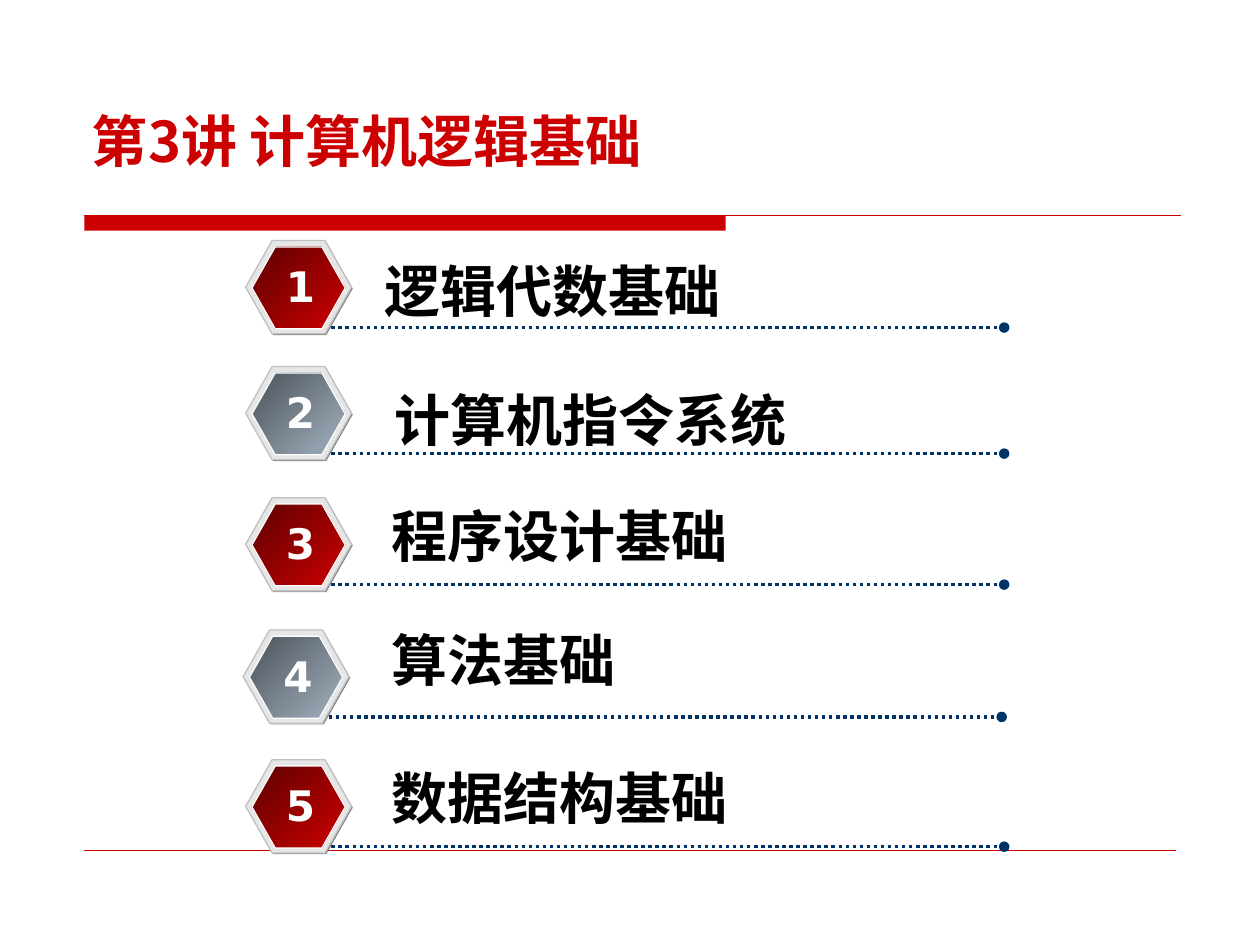
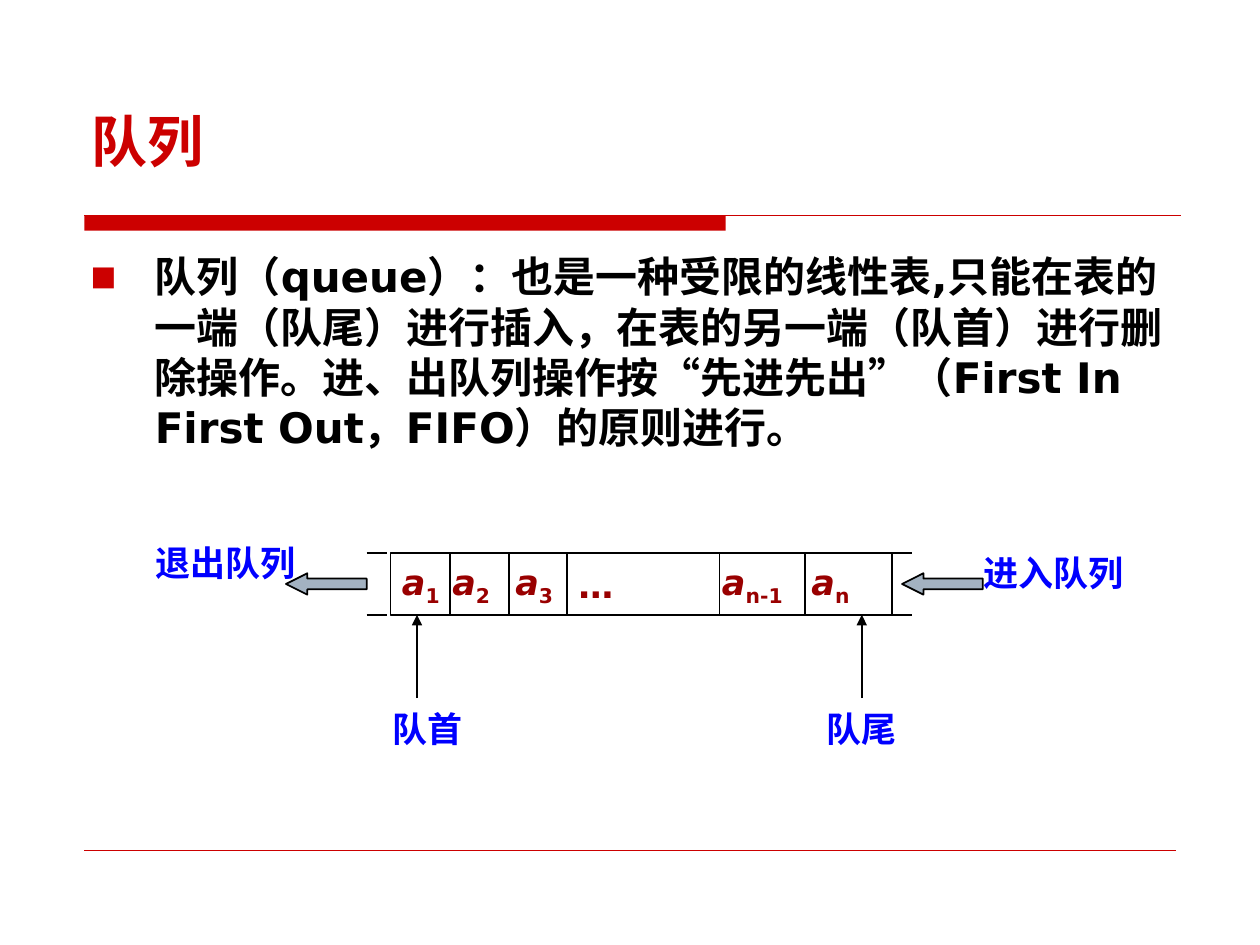
from dataclasses import dataclass
from typing import NamedTuple, Optional

from lxml import etree
from pptx import Presentation
from pptx import util as u
from pptx.dml.color import RGBColor
from pptx.enum import dml, shapes, text
from pptx.oxml import ns

Inches, Pt = u.Inches, u.Pt
SHAPE = shapes.MSO_SHAPE
LEFT, CENTER = text.PP_ALIGN.LEFT, text.PP_ALIGN.CENTER

RED, WHITE, BLACK = "CC0000", "FFFFFF", "000000"
NAVY, BLUE, MAROON, STEEL = "003366", "0000FF", "990000", "A3B2C1"
RED_BLEND, STEEL_BLEND = ("5E0000", RED), ("4B5259", STEEL)
CJK, SANS, SERIF = "Noto Sans CJK SC", "DejaVu Sans", "Times New Roman"
CJK_LEADING = 1.3


class Box(NamedTuple):
    left: float
    top: float
    width: float
    height: float

    def lengths(self) -> list:
        return [Inches(value) for value in self]


class Style(NamedTuple):
    size: float
    color: str
    font: str = SANS


@dataclass
class Topic:
    """One agenda row: its badge corner and its label."""
    label: str
    left: float
    top: float
    label_left: float
    label_top: float
    label_width: float = 4.96
    align: text.PP_ALIGN = LEFT


@dataclass
class Cell:
    """One queue cell: left edge, indent of its text, symbol and subscript."""
    left: float
    indent: float
    symbol: str
    index: str = ""


@dataclass
class Caption:
    label: str
    left: float
    top: float


TITLE = Style(32, RED, CJK)
TOPIC = Style(32, BLACK)
NUMBER = Style(24, WHITE)
BODY = Style(24, BLACK)
ELEMENT = Style(20, MAROON)
CAPTION = Style(20, BLUE, SERIF)

TOPICS = [
    Topic("逻辑代数基础", 1.95, 1.91, 2.95, 1.94, 5.01),
    Topic("计算机指令系统", 1.95, 2.91, 2.83, 2.97, 3.72, CENTER),
    Topic("程序设计基础", 1.95, 3.95, 3.01, 3.89),
    Topic("算法基础", 1.93, 5.0, 3.01, 4.87),
    Topic("数据结构基础", 1.95, 6.03, 3.01, 5.97),
]

DEFINITION = (
    "队列（queue）：也是一种受限的线性表,只能在表的一端（队尾）进行插入，"
    "在表的另一端（队首）进行删除操作。进、出队列操作按“先进先出”"
    "（First In First Out，FIFO）的原则进行。"
)
QUEUE = Box(3.1, 4.39, 3.98, 0.49)
QUEUE_RIGHT = QUEUE.left + QUEUE.width
QUEUE_BOTTOM = QUEUE.top + QUEUE.height
CELLS = [
    Cell(3.1, 0.09, "a", "1"),
    Cell(3.57, 0.02, "a", "2"),
    Cell(4.04, 0.05, "a", "3"),
    Cell(4.5, 0.09, "…"),
    Cell(5.71, 0.02, "a", "n-1"),
    Cell(6.39, 0.05, "a", "n"),
]
CAPTIONS = [
    Caption("进入队列", 7.24, 4.3),
    Caption("退出队列", 0.67, 4.22),
    Caption("队尾", 5.72, 5.54),
    Caption("队首", 2.27, 5.54),
]


def rgb(value: str) -> RGBColor:
    return RGBColor.from_string(value)


def add_run(paragraph, words: str, style: Style, italic: bool = False,
            subscript: bool = False) -> None:
    run = paragraph.add_run()
    run.text = words
    font = run.font
    font.size, font.name = Pt(style.size), style.font
    font.bold, font.italic = True, italic
    font.color.rgb = rgb(style.color)
    properties = run._r.get_or_add_rPr()
    etree.SubElement(properties, ns.qn("a:ea"), typeface=CJK)
    if subscript:
        properties.set("baseline", "-25000")


def add_text(slide, box: Box, words: str, style: Style, align=LEFT,
             leading: Optional[float] = None, wrap: bool = True):
    """Add a one-paragraph text box; leading is a multiple of the text size."""
    frame = slide.shapes.add_textbox(*box.lengths()).text_frame
    frame.word_wrap = wrap
    paragraph = frame.paragraphs[0]
    paragraph.alignment = align
    if leading:
        paragraph.line_spacing = Pt(style.size * leading)
    if words:
        add_run(paragraph, words, style)
    return frame


def add_line(slide, start: tuple, end: tuple, color: str = BLACK,
             weight: float = 1, head: str = "", dotted: bool = False) -> None:
    points = [Inches(value) for value in (*start, *end)]
    line = slide.shapes.add_connector(shapes.MSO_CONNECTOR.STRAIGHT, *points)
    line.line.color.rgb = rgb(color)
    line.line.width = Pt(weight)
    if dotted:
        line.line.dash_style = dml.MSO_LINE.ROUND_DOT
    if head:
        etree.SubElement(line.line._get_or_add_ln(), ns.qn("a:tailEnd"), type=head)
    etree.SubElement(line._element.spPr, ns.qn("a:effectLst"))


def add_shape(slide, kind, box: Box, fill: Optional[str] = None,
              outline: Optional[str] = None, weight: float = 0.75):
    shape = slide.shapes.add_shape(kind, *box.lengths())
    shape.shadow.inherit = False
    if fill:
        shape.fill.solid()
        shape.fill.fore_color.rgb = rgb(fill)
    else:
        shape.fill.background()
    if outline:
        shape.line.color.rgb = rgb(outline)
        shape.line.width = Pt(weight)
    else:
        shape.line.fill.background()
    return shape


def add_titled_slide(deck, heading: str):
    """Add a slide with the shared title, red band and bottom rule."""
    slide = deck.slides.add_slide(deck.slide_layouts[5])
    add_shape(slide, SHAPE.RECTANGLE, Box(0.67, 1.71, 5.09, 0.12), RED)
    add_line(slide, (0.67, 1.71), (9.37, 1.71), RED, 0.75)
    add_line(slide, (0.67, 6.75), (9.33, 6.75), RED, 0.25)
    title = slide.shapes.title
    title.left, title.top, title.width, title.height = Box(0.63, 0.33, 8.75, 1.05).lengths()
    frame = title.text_frame
    frame.vertical_anchor = text.MSO_ANCHOR.BOTTOM
    frame.margin_bottom = 0
    paragraph = frame.paragraphs[0]
    paragraph.alignment = LEFT
    add_run(paragraph, heading, TITLE)
    return slide


def add_hexagon(slide, box: Box, fill: str, outline: Optional[str] = None):
    hexagon = add_shape(slide, SHAPE.HEXAGON, box, fill, outline)
    hexagon.adjustments[0] = 0.284
    return hexagon


def add_topic(slide, number: int, topic: Topic) -> None:
    left, top = topic.left, topic.top
    blend = RED_BLEND if number % 2 else STEEL_BLEND
    add_hexagon(slide, Box(left + 0.01, top + 0.01, 0.84, 0.74), "808080")
    add_hexagon(slide, Box(left, top, 0.84, 0.74), "E6E6E6", "C0C0C0")
    face = add_hexagon(slide, Box(left + 0.05, top + 0.05, 0.74, 0.65), blend[0], WHITE)
    face.fill.gradient()
    face.fill.gradient_angle = 315
    for stop, color, position in zip(face.fill.gradient_stops, blend, (0, 1)):
        stop.color.rgb = rgb(color)
        stop.position = position
    add_line(slide, (left + 0.68, top + 0.69), (left + 6.02, top + 0.69),
             NAVY, 2, "oval", dotted=True)
    add_text(slide, Box(topic.label_left, topic.label_top, topic.label_width, 0.64),
             topic.label, TOPIC, topic.align, CJK_LEADING)
    add_text(slide, Box(left + 0.22, top + 0.11, 0.39, 0.5), str(number), NUMBER,
             CENTER, wrap=False)


def add_definition(slide) -> None:
    frame = add_text(slide, Box(0.62, 1.94, 8.75, 1.75), "", BODY, leading=1.2)
    paragraph = frame.paragraphs[0]
    properties = paragraph._p.get_or_add_pPr()
    properties.set("marL", str(Inches(0.51)))
    properties.set("indent", str(-Inches(0.51)))
    bullet_color = etree.SubElement(properties, ns.qn("a:buClr"))
    etree.SubElement(bullet_color, ns.qn("a:srgbClr"), val=RED)
    etree.SubElement(properties, ns.qn("a:buSzPct"), val="65000")
    etree.SubElement(properties, ns.qn("a:buFont"), typeface=SANS)
    etree.SubElement(properties, ns.qn("a:buChar"), char="■")
    add_run(paragraph, DEFINITION, BODY)


def add_queue(slide) -> None:
    add_shape(slide, SHAPE.RECTANGLE, QUEUE, outline=BLACK, weight=1)
    right_edges = [cell.left for cell in CELLS[1:]] + [QUEUE_RIGHT]
    for cell, right in zip(CELLS, right_edges):
        if cell.left > QUEUE.left:
            add_line(slide, (cell.left, QUEUE.top), (cell.left, QUEUE_BOTTOM))
        box = Box(cell.left, QUEUE.top, right - cell.left, QUEUE.height)
        frame = add_text(slide, box, "", ELEMENT)
        frame.margin_left, frame.margin_right = Inches(cell.indent), 0
        frame.vertical_anchor = text.MSO_ANCHOR.MIDDLE
        paragraph = frame.paragraphs[0]
        add_run(paragraph, cell.symbol, ELEMENT, italic=bool(cell.index))
        if cell.index:
            add_run(paragraph, cell.index, ELEMENT, subscript=True)
    for y in (QUEUE.top, QUEUE_BOTTOM):
        for stub_left in (2.91, QUEUE_RIGHT):
            add_line(slide, (stub_left, y), (stub_left + 0.16, y))
    for arrow_left in (7.16, 2.27):
        arrow = add_shape(slide, SHAPE.LEFT_ARROW, Box(arrow_left, 4.55, 0.64, 0.17),
                          STEEL, BLACK, 1)
        arrow.adjustments[1] = 0.997
    for caption in CAPTIONS:
        add_text(slide, Box(caption.left, caption.top, 2.24, 0.44), caption.label,
                 CAPTION, CENTER, CJK_LEADING)
    for pointer_x in (3.31, 6.84):
        add_line(slide, (pointer_x, 5.54), (pointer_x, QUEUE_BOTTOM), head="triangle")


def main() -> None:
    deck = Presentation()
    deck.slide_width, deck.slide_height = Inches(10), Inches(7.5)

    agenda = add_titled_slide(deck, "第3讲 计算机逻辑基础")
    for number, topic in enumerate(TOPICS, 1):
        add_topic(agenda, number, topic)

    queue = add_titled_slide(deck, "队列")
    add_definition(queue)
    add_queue(queue)

    deck.save("out.pptx")


if __name__ == "__main__":
    main()
